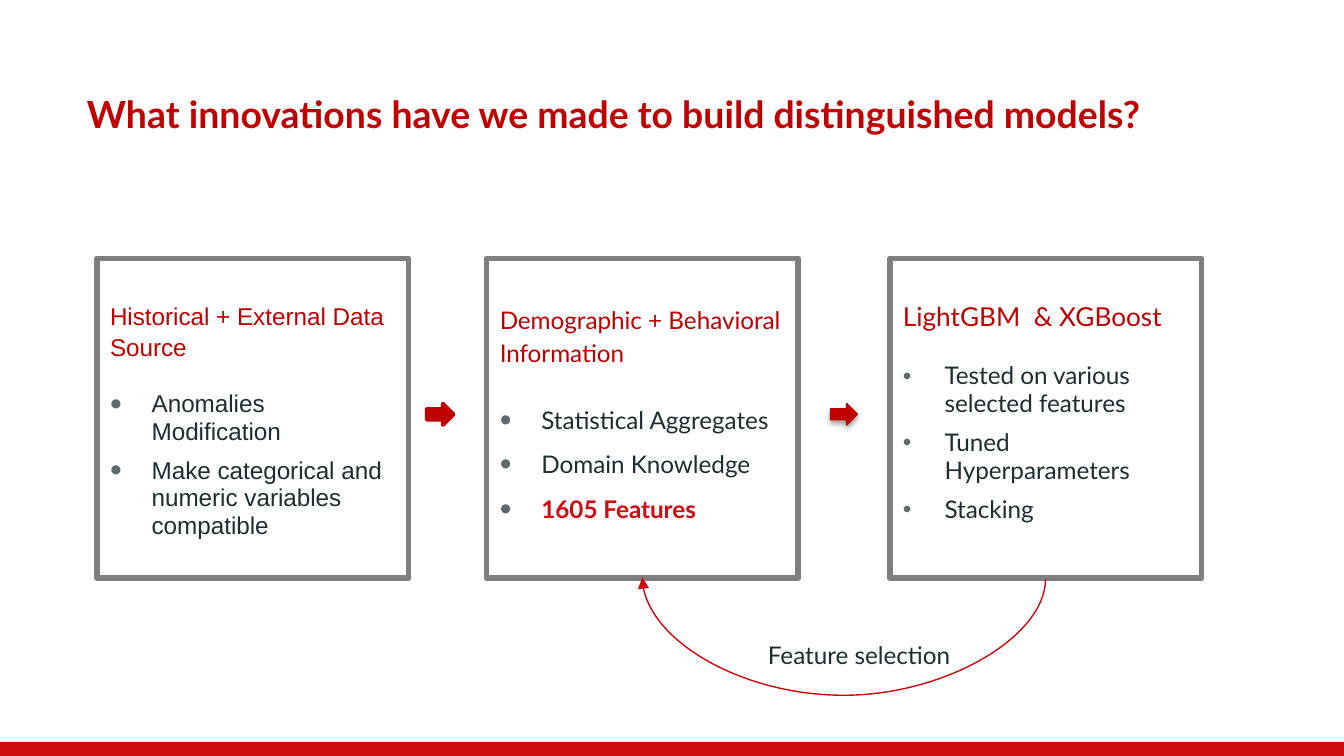
from lxml.etree import SubElement
from pptx import Presentation
from pptx.dml.color import RGBColor
from pptx.enum.shapes import MSO_CONNECTOR as Connector, MSO_SHAPE as Shape
from pptx.enum.text import MSO_ANCHOR as Anchor, MSO_AUTO_SIZE as AutoSize, PP_ALIGN as Align
from pptx.oxml.ns import qn
from pptx.util import Inches, Pt

COLORS = {"red": "C00000", "bright": "CF0B0F", "curve": "CE0509", "gray": "7F7F7F",
          "bullet": "5E696C", "ink": "1E2D31", "white": "FFFFFF", "black": "000000"}
COLUMNS, ROWS = 100, 56.25
BOX_TOP, BOX_WIDTH, BOX_HEIGHT = 19.22, 23.2, 23.8
ARROW_TOP, ARROW_WIDTH, ARROW_HEIGHT = 30.03, 2, 1.6

# Each card: left column, font, heading and item sizes, heading and item line spacing,
# points above and below the heading, bullet size in percent.
CARDS = [
    dict(left=7.2, font="Arial", sizes=(12.95, 12.95), spacing=(1.05, 0.95), gaps=(15.3, 15.8),
         bullet=139, heading="Historical + External Data Source",
         items=["Anomalies Modification", "Make categorical and numeric variables compatible"]),
    dict(left=36.2, font="Lato", sizes=(12.95, 12.95), spacing=(1.15, 1.15), gaps=(15.5, 17.8),
         bullet=139, heading="Demographic + Behavioral Information",
         items=["Statistical Aggregates", "Domain Knowledge", "1605 Features"]),
    dict(left=66.2, font="Lato", sizes=(14, 13), spacing=(0.95, 0.95), gaps=(16.8, 16),
         bullet=100, heading="LightGBM  & XGBoost",
         items=["Tested on various selected features", "Tuned Hyperparameters", "Stacking"]),
]
HIGHLIGHT = "1605 Features"


def color(name):
    return RGBColor.from_string(COLORS[name])


class SlideBuilder:
    def __init__(self, presentation):
        self.cell_width = presentation.slide_width / COLUMNS
        self.cell_height = presentation.slide_height / ROWS
        self.slide = presentation.slides.add_slide(presentation.slide_layouts[5])

    def place(self, left, top, width, height):
        """Turn grid columns and rows into lengths."""
        return (round(left * self.cell_width), round(top * self.cell_height),
                round(width * self.cell_width), round(height * self.cell_height))

    def style(self, paragraph, size, name, font="Lato", bold=False, spacing=None):
        paragraph.alignment = Align.LEFT
        paragraph.line_spacing = spacing
        paragraph.font.name = font
        paragraph.font.size = Pt(size)
        paragraph.font.bold = bold
        paragraph.font.color.rgb = color(name)

    def frame(self, shape, top=0.1, bottom=0.1):
        text_frame = shape.text_frame
        text_frame.word_wrap = True
        text_frame.auto_size = AutoSize.NONE
        text_frame.vertical_anchor = Anchor.TOP
        text_frame.margin_left = text_frame.margin_right = Inches(0.1)
        text_frame.margin_top, text_frame.margin_bottom = Inches(top), Inches(bottom)
        return text_frame

    def title(self, text, *cells):
        shape = self.slide.shapes.title
        shape.left, shape.top, shape.width, shape.height = self.place(*cells)
        paragraph = self.frame(shape).paragraphs[0]
        paragraph.text = text
        self.style(paragraph, 20, "red", bold=True)

    def shape(self, kind, cells, fill, line=None, line_width=0):
        shape = self.slide.shapes.add_shape(kind, *self.place(*cells))
        shape.shadow.inherit = False
        shape.fill.solid()
        shape.fill.fore_color.rgb = color(fill)
        if line:
            shape.line.color.rgb = color(line)
            shape.line.width = Pt(line_width)
        else:
            shape.line.fill.background()
        return shape

    def bullet(self, paragraph, percent):
        properties = paragraph._p.get_or_add_pPr()
        properties.set("marL", str(Inches(0.31)))
        properties.set("indent", str(-Inches(0.31)))
        bullet_color = SubElement(properties, qn("a:buClr"))
        SubElement(bullet_color, qn("a:srgbClr"), val=COLORS["bullet"])
        SubElement(properties, qn("a:buSzPct"), val=str(percent * 1000))
        SubElement(properties, qn("a:buFont"), typeface="Arial")
        SubElement(properties, qn("a:buChar"), char="•")

    def card(self, left, font, sizes, spacing, gaps, bullet, heading, items):
        box = self.shape(Shape.RECTANGLE, (left, BOX_TOP, BOX_WIDTH, BOX_HEIGHT),
                         "white", "gray", 3)
        above, below = gaps
        text_frame = self.frame(box, top=0.1 + above / 72)
        paragraph = text_frame.paragraphs[0]
        paragraph.text = heading
        paragraph.space_after = Pt(below)
        self.style(paragraph, sizes[0], "red", font, spacing=spacing[0])
        for index, item in enumerate(items):
            paragraph = text_frame.add_paragraph()
            paragraph.text = item
            self.bullet(paragraph, bullet)
            paragraph.space_before = Pt(6 if index else 0)
            strong = item == HIGHLIGHT
            self.style(paragraph, sizes[1], "bright" if strong else "ink", font, strong, spacing[1])

    def arrow(self, left, line_width, shadow=False):
        arrow = self.shape(Shape.RIGHT_ARROW, (left, ARROW_TOP, ARROW_WIDTH, ARROW_HEIGHT),
                           "red", "red", line_width)
        if shadow:
            effects = arrow._element.spPr.find(qn("a:effectLst"))
            outer = SubElement(effects, qn("a:outerShdw"), blurRad=str(Pt(3.1)),
                               dist=str(Pt(1.6)), dir="5400000", rotWithShape="0")
            shade = SubElement(outer, qn("a:srgbClr"), val=COLORS["black"])
            SubElement(shade, qn("a:alpha"), val="38000")

    def label(self, text, *cells):
        box = self.slide.shapes.add_textbox(*self.place(*cells))
        paragraph = self.frame(box, 0.05, 0.05).paragraphs[0]
        paragraph.text = text
        self.style(paragraph, 13, "ink")

    def feedback_curve(self, start, end, bottom, depth):
        """Hang a curve below two box centres, as a quarter-turned connector."""
        middle, half, drop = (start + end) / 2, (start - end) / 2, 0.1
        left, top, right, low = self.place(middle - drop / 2, bottom - half,
                                           middle + drop / 2, bottom + half)
        curve = self.slide.shapes.add_connector(Connector.CURVE, right, top, left, low)
        curve.rotation = 90
        curve.line.color.rgb = color("curve")
        curve.line.width = Pt(0.75)
        properties = curve._element.spPr
        guides = properties.find(qn("a:prstGeom")).get_or_add_avLst()
        SubElement(guides, qn("a:gd"), name="adj1", fmla=f"val {round(-depth / drop * 100000)}")
        SubElement(curve.line._get_or_add_ln(), qn("a:tailEnd"), type="triangle")
        SubElement(properties, qn("a:effectLst"))


def main():
    presentation = Presentation()
    presentation.slide_width = Inches(10)
    presentation.slide_height = Inches(10) * 9 // 16
    builder = SlideBuilder(presentation)
    builder.shape(Shape.RECTANGLE, (0, 55.2, COLUMNS, ROWS - 55.2), "bright")
    builder.title("What innovations have we made to build distinguished models?", 5.47, 5.8, 93.2, 6.8)
    for card in CARDS:
        builder.card(**card)
    builder.arrow(31.75, 2)
    builder.arrow(61.8, 0.75, shadow=True)
    builder.label("Feature selection", 56.15, 47.15, 15.9, 3.2)
    target, source = (card["left"] + BOX_WIDTH / 2 for card in CARDS[1:])
    builder.feedback_curve(source, target, BOX_TOP + BOX_HEIGHT, 8.8)
    presentation.save("out.pptx")


if __name__ == "__main__":
    main()
